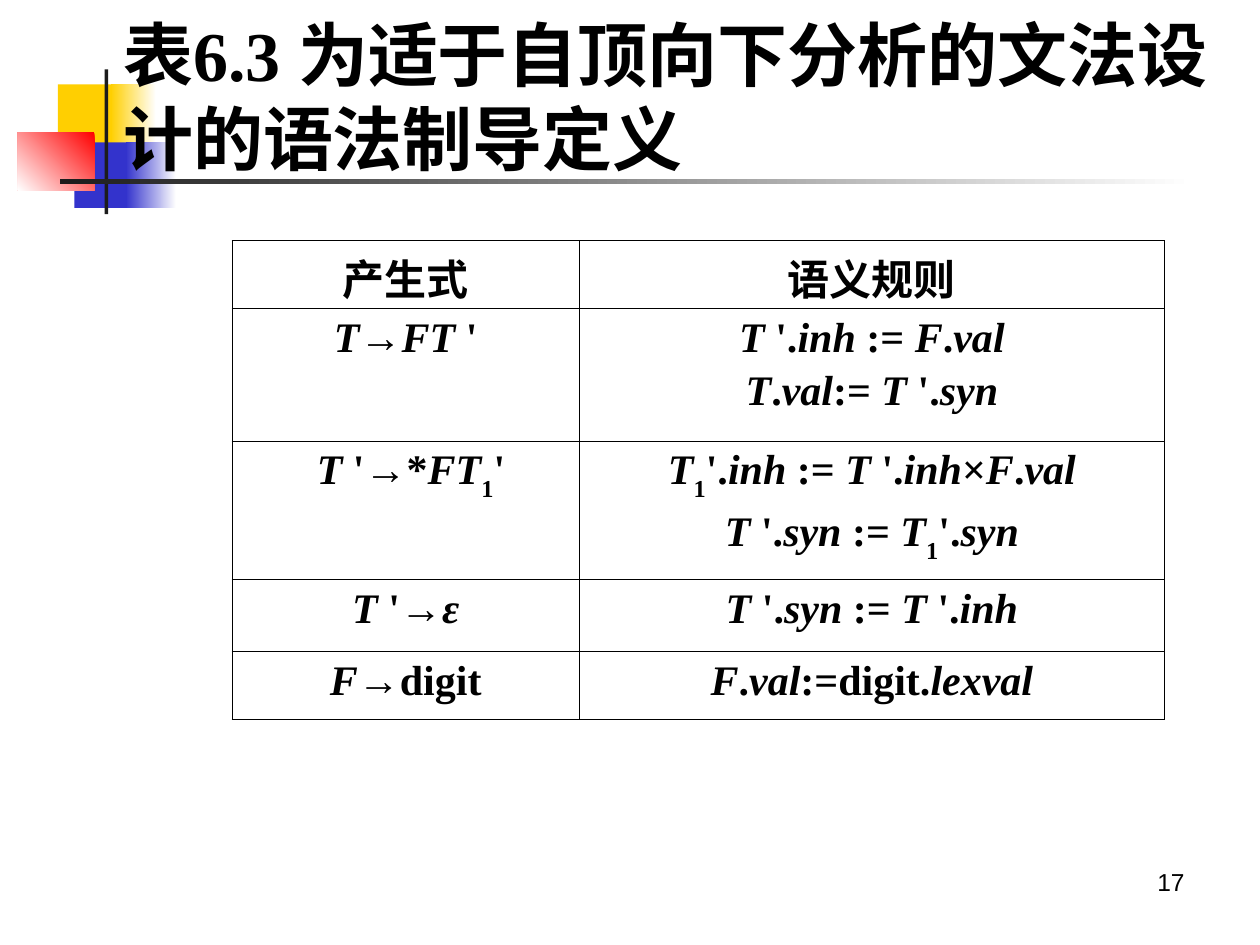
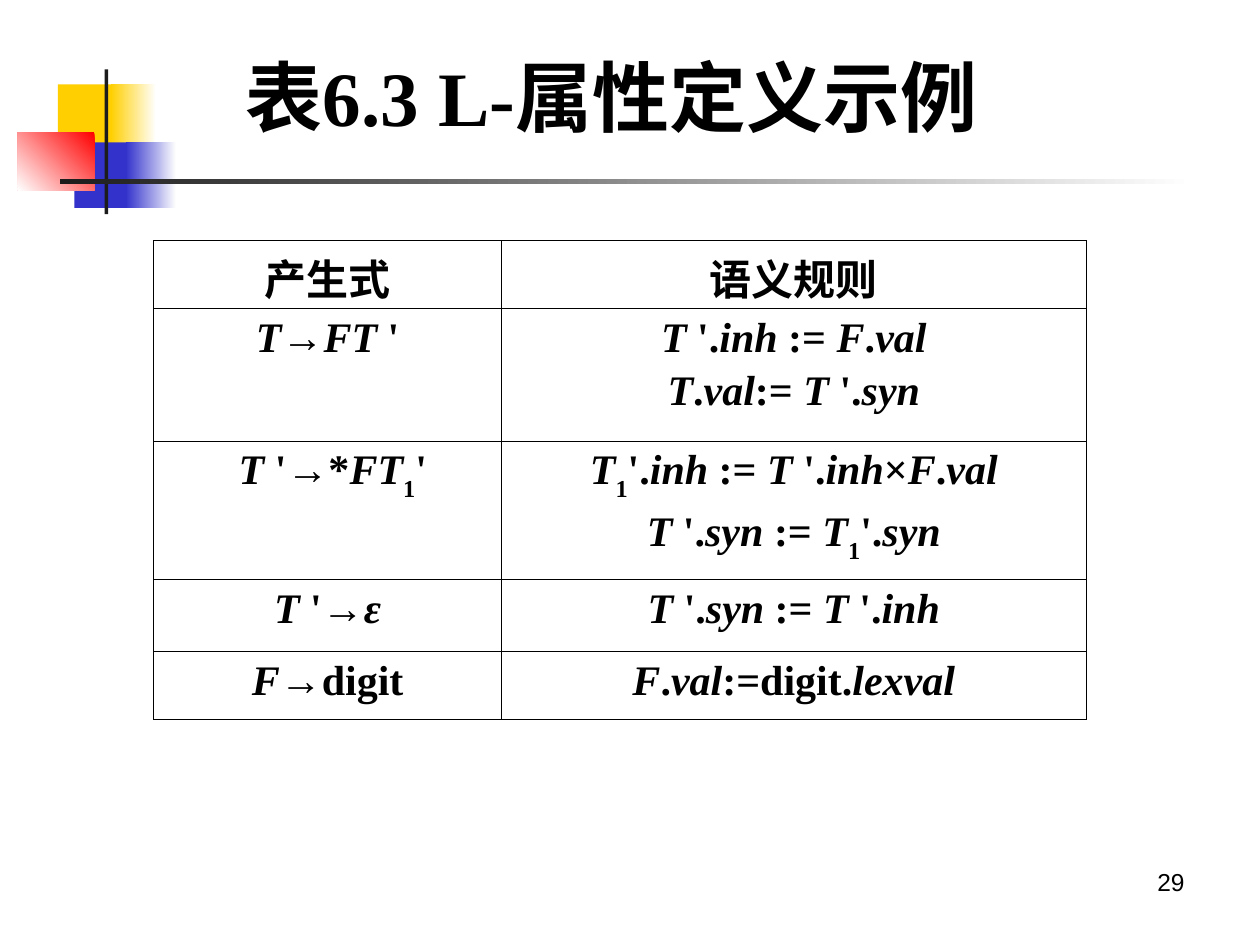
from dataclasses import dataclass

from lxml import etree
from pptx import Presentation
from pptx import util as u
from pptx.dml.color import RGBColor
from pptx.enum import shapes, text
from pptx.oxml import ns


@dataclass(frozen=True)
class Theme:
    """Colours, fonts and sizes shared by the slides."""
    ink: str = "000000"
    dark: str = "1C1C1C"
    white: str = "FFFFFF"
    gold: str = "FFCF01"
    blue: str = "3333CC"
    red: str = "FF0000"
    serif: str = "Times New Roman"
    sans: str = "Arial"
    head: str = "Karla"
    body: int = 24
    note: int = 14
    gap: int = 4
    rule: float = 0.45


T = Theme()
WIDE, HIGH = u.Inches(10), u.Inches(7.5)
COLS, ROWS = 100, 75
MARK = (1.4, 5.5, 93.4, 11.5)
FOOT = (71.7, 68.3, 23.3, 5.2)
SPLIT = (27.6, 46.4)
STEPS = (5.4, 10.5, 10.5, 5.7, 5.4)
BLOCKS = [
    (3.2, 1.2, 4.8, 5.2, T.gold, None, 0),
    (7.4, 1.2, 3.6, 5.2, T.white, T.gold, 180),
    (4.5, 5.8, 4.6, 5.2, T.blue, None, 0),
    (8.6, 5.8, 4, 5.2, T.white, T.blue, 180),
    (0, 5, 6.1, 4.6, T.red, T.white, 225),
    (6.9, 0, 0.3, 11.5, T.dark, None, 0),
    (3.4, 8.7, 90, 0.4, T.white, T.dark, 180),
]
RULES = [
    ("产生式", ["语义规则"]),
    ("_T_→_FT _'", ["_T _'._inh_ := _F_._val", "_T_._val_:=_ T _'._syn"]),
    ("_ T _'→*_FT_^1^'",
     ["_T_^1^'._inh_ := _T _'._inh_×_F_._val", "_T _'._syn _:=_ T_^1^'._syn"]),
    ("_T _'→_ε", ["_T _'._syn_ := _T _'._inh"]),
    ("_F_→digit", ["_F_._val_:=digit._lexval"]),
]
PAGES = [
    (17, "表6.3 ", "为适于自顶向下分析的文法设计的语法制导定义", 40,
     (8.8, 1.3, 90, 12.6), (18.4, 19.1, 74, 37.4)),
    (29, "表6.3 L-属性", "定义示例", 44,
     (18.5, 1.3, 67, 12.6), (12.2, 19.1, 74, 37.4)),
]


def across(n):
    """Turn grid columns into a length."""
    return u.Emu(round(WIDE * n / COLS))


def down(n):
    """Turn grid rows into a length."""
    return u.Emu(round(HIGH * n / ROWS))


def place(box):
    """Turn a grid box into left, top, width and height."""
    x, y, w, h = box
    return across(x), down(y), across(w), down(h)


def write(par, words, **form):
    """Add a run with the given font values."""
    run = par.add_run()
    run.text = words
    for key, val in form.items():
        setattr(run.font, key, val)
    run.font.color.rgb = RGBColor.from_string(T.ink)
    return run


def frame(slide, box, anchor, align):
    """Add a wrapped text box and return its first paragraph."""
    tf = slide.shapes.add_textbox(*place(box)).text_frame
    tf.word_wrap, tf.vertical_anchor = True, anchor
    par = tf.paragraphs[0]
    par.alignment = align
    return par


def emblem(slide, box):
    """Draw the colour blocks and crossing bars."""
    for x, y, w, h, first, last, turn in BLOCKS:
        part = slide.shapes.add_shape(
            shapes.MSO_SHAPE.RECTANGLE, *place((box[0] + x, box[1] + y, w, h)))
        part.shadow.inherit = False
        part.line.fill.background()
        if last:
            part.fill.gradient()
            part.fill.gradient_angle = turn
            for stop, tone in zip(part.fill.gradient_stops, (first, last)):
                stop.color.rgb = RGBColor.from_string(tone)
        else:
            part.fill.solid()
            part.fill.fore_color.rgb = RGBColor.from_string(first)


def title(slide, box, lead, rest, size):
    """Write the two-part heading."""
    par = frame(slide, box, text.MSO_ANCHOR.MIDDLE, text.PP_ALIGN.LEFT)
    form = dict(size=u.Pt(size), bold=True)
    write(par, lead, name=T.serif, **form)
    run = write(par, rest, name=T.head, **form)
    east = etree.SubElement(run._r.get_or_add_rPr(), ns.qn("a:ea"))
    east.set("typeface", T.head)


def footer(slide, box, page):
    """Write the page number."""
    par = frame(slide, box, text.MSO_ANCHOR.TOP, text.PP_ALIGN.RIGHT)
    write(par, str(page), name=T.sans, size=u.Pt(T.note))


def border(cell):
    """Rule all four sides of a cell and clear its fill."""
    props = cell._tc.get_or_add_tcPr()
    for side in "LRTB":
        line = etree.SubElement(props, ns.qn("a:ln" + side), w=str(u.Pt(T.rule)))
        fill = etree.SubElement(line, ns.qn("a:solidFill"))
        etree.SubElement(fill, ns.qn("a:srgbClr"), val=T.ink)
    cell.fill.background()


def formula(par, code):
    """Write a line where _ toggles italic and ^ toggles subscript."""
    for i, span in enumerate(code.split("_")):
        for j, bit in enumerate(span.split("^")):
            if bit:
                run = write(par, bit, name=T.serif, size=u.Pt(T.body),
                            bold=True, italic=i % 2 == 1)
                if j % 2:
                    run._r.get_or_add_rPr().set("baseline", "-30000")


def grid(slide, box):
    """Build the table of productions and semantic rules."""
    table = slide.shapes.add_table(len(STEPS), len(SPLIT), *place(box)).table
    table.first_row = table.horz_banding = False
    for col, wide in zip(table.columns, SPLIT):
        col.width = across(wide)
    for row, high, (left, right) in zip(table.rows, STEPS, RULES):
        row.height = down(high)
        for cell, lines in zip(row.cells, ([left], right)):
            border(cell)
            tf = cell.text_frame
            for k, code in enumerate(lines):
                par = tf.add_paragraph() if k else tf.paragraphs[0]
                par.alignment = text.PP_ALIGN.CENTER
                if k:
                    par.space_before = u.Pt(T.gap)
                formula(par, code)


def main():
    """Build and save the deck."""
    deck = Presentation()
    deck.slide_width, deck.slide_height = WIDE, HIGH
    for page, lead, rest, size, top, area in PAGES:
        slide = deck.slides.add_slide(deck.slide_layouts[6])
        emblem(slide, MARK)
        footer(slide, FOOT, page)
        title(slide, top, lead, rest, size)
        grid(slide, area)
    deck.save("out.pptx")


if __name__ == "__main__":
    main()
